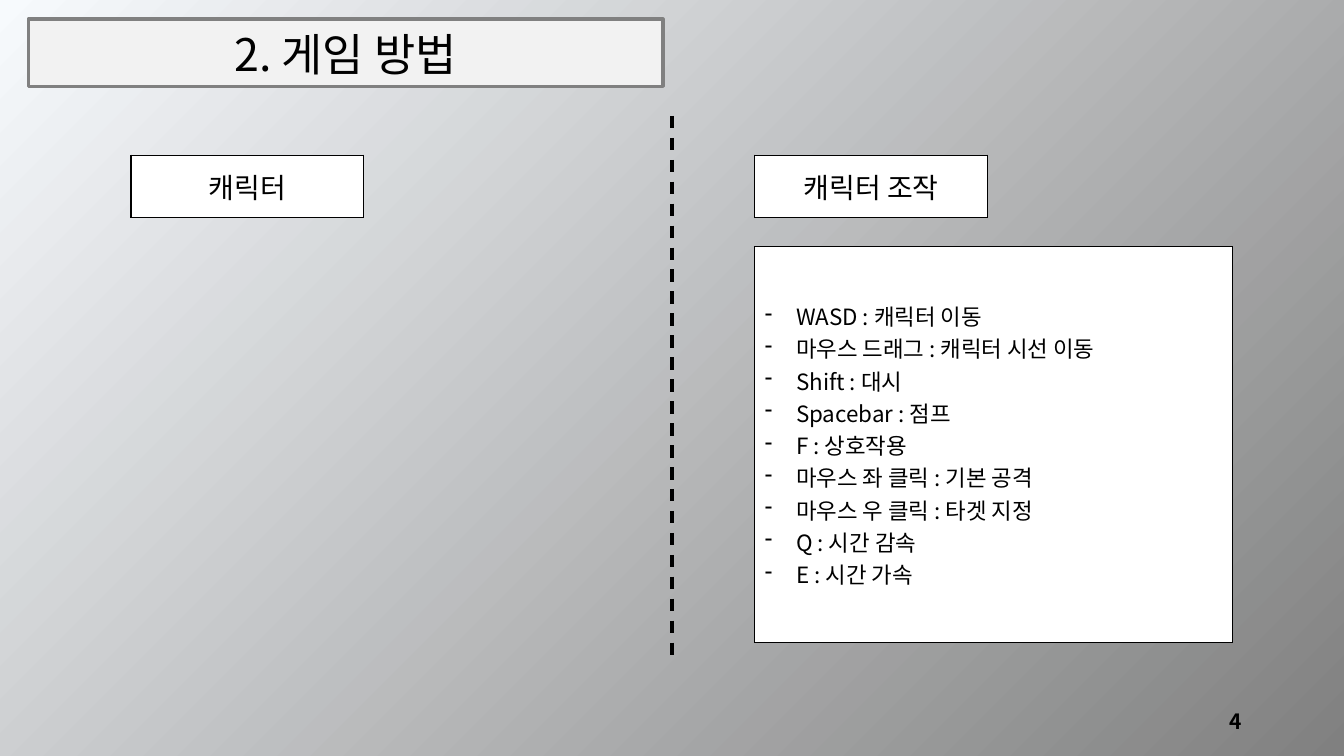
from pptx import Presentation
from pptx.dml.color import RGBColor as Rgb
from pptx.enum.dml import MSO_LINE as Dash
from pptx.enum.shapes import MSO_CONNECTOR as Link, MSO_SHAPE as Kind
from pptx.enum.text import MSO_ANCHOR as Anchor, PP_ALIGN as Align
from pptx.oxml import parse_xml
from pptx.oxml.ns import nsdecls
from pptx.util import Cm, Pt

TITLE = "2. 게임 방법"
PAGE = "4"
HEADS = ["캐릭터", "캐릭터 조작"]
KEYS = [
    ("WASD", "캐릭터 이동"),
    ("마우스 드래그", "캐릭터 시선 이동"),
    ("Shift", "대시"),
    ("Spacebar", "점프"),
    ("F", "상호작용"),
    ("마우스 좌 클릭", "기본 공격"),
    ("마우스 우 클릭", "타겟 지정"),
    ("Q", "시간 감속"),
    ("E", "시간 가속"),
]
FONT = "Noto Sans CJK KR"
INK = {"text": "000000", "cell": "FFFFFF", "bar": "F2F2F2",
       "edge": "808080", "pale": "F7FAFD", "dark": "808080"}
WIDE, HIGH = 33.87, 19.05
COLS = [3.3, 19.02]
HEAD_TOP, HEAD_W, HEAD_H = 3.91, 5.87, 1.57
LIST_TOP, LIST_W, LIST_H = 6.22, 12.04, 9.98


def color(name):
    return Rgb.from_string(INK[name])


def box(*cms):
    return [Cm(n) for n in cms]


def write(frame, lines, size, align=Align.LEFT, bold=False, dash=False, lead=None):
    frame.word_wrap = True
    for i, line in enumerate(lines):
        para = frame.paragraphs[0] if i == 0 else frame.add_paragraph()
        para.alignment = align
        if lead:
            para.line_spacing = lead
        if dash:
            props = para._p.get_or_add_pPr()
            props.set("marL", str(Cm(0.79)))
            props.set("indent", str(-Cm(0.79)))
            props.append(parse_xml(f'<a:buChar {nsdecls("a")} char="-"/>'))
        run = para.add_run()
        run.text = line
        font = run.font
        font.size, font.bold, font.name = Pt(size), bold, FONT
        font.color.rgb = color("text")
        run._r.get_or_add_rPr().append(
            parse_xml(f'<a:ea {nsdecls("a")} typeface="{FONT}"/>'))


def add_rect(shapes, *cms):
    rect = shapes.add_shape(Kind.RECTANGLE, *box(*cms))
    rect.shadow.inherit = False
    return rect


def add_card(shapes, cms, lines, size, **form):
    """Add a bordered table of one cell."""
    table = shapes.add_table(1, 1, *box(*cms)).table
    table.first_row = table.horz_banding = False
    cell = table.cell(0, 0)
    cell.fill.solid()
    cell.fill.fore_color.rgb = color("cell")
    cell.vertical_anchor = Anchor.MIDDLE
    props = cell._tc.get_or_add_tcPr()
    for i, side in enumerate("LRTB"):
        props.insert(i, parse_xml(
            f'<a:ln{side} {nsdecls("a")} w="{Pt(1)}"><a:solidFill>'
            f'<a:srgbClr val="{INK["text"]}"/></a:solidFill></a:ln{side}>'))
    write(cell.text_frame, lines, size, **form)


def main():
    deck = Presentation()
    deck.slide_width, deck.slide_height = box(WIDE, HIGH)
    slide = deck.slides.add_slide(deck.slide_layouts[5])
    shapes = slide.shapes
    title = shapes.title

    back = add_rect(shapes, 0, 0, WIDE, HIGH)
    back.line.fill.background()
    back.fill.gradient()
    back.fill.gradient_angle = 315
    for stop, name, spot in zip(back.fill.gradient_stops, ("pale", "dark"), (0, 1)):
        stop.color.rgb = color(name)
        stop.position = spot

    bar = add_rect(shapes, 0.71, 0.48, 16, 1.7)
    bar.fill.solid()
    bar.fill.fore_color.rgb = color("bar")
    bar.line.color.rgb = color("edge")
    bar.line.width = Pt(2.25)

    bar._element.addnext(title._element)
    title.left, title.top, title.width, title.height = box(0.71, 0.53, 16, 1.65)
    title.text_frame.vertical_anchor = Anchor.BOTTOM
    write(title.text_frame, [TITLE], 32, align=Align.CENTER, lead=0.9)

    page = shapes.add_textbox(*box(23.93, 17.65, 7.62, 1.02)).text_frame
    page.vertical_anchor = Anchor.MIDDLE
    write(page, [PAGE], 15, align=Align.RIGHT, bold=True)

    mid = WIDE / 2
    rule = shapes.add_connector(Link.STRAIGHT, *box(mid, 2.92, mid, 16.61))
    rule.line.color.rgb = color("text")
    rule.line.width = Pt(2.25)
    rule.line.dash_style = Dash.DASH
    rule._element.spPr.append(parse_xml(f'<a:effectLst {nsdecls("a")}/>'))

    for left, head in zip(COLS, HEADS):
        add_card(shapes, (left, HEAD_TOP, HEAD_W, HEAD_H), [head], 20,
                 align=Align.CENTER)
    add_card(shapes, (COLS[1], LIST_TOP, LIST_W, LIST_H),
             [f"{key} : {act}" for key, act in KEYS], 16, dash=True)
    deck.save("out.pptx")


if __name__ == "__main__":
    main()
